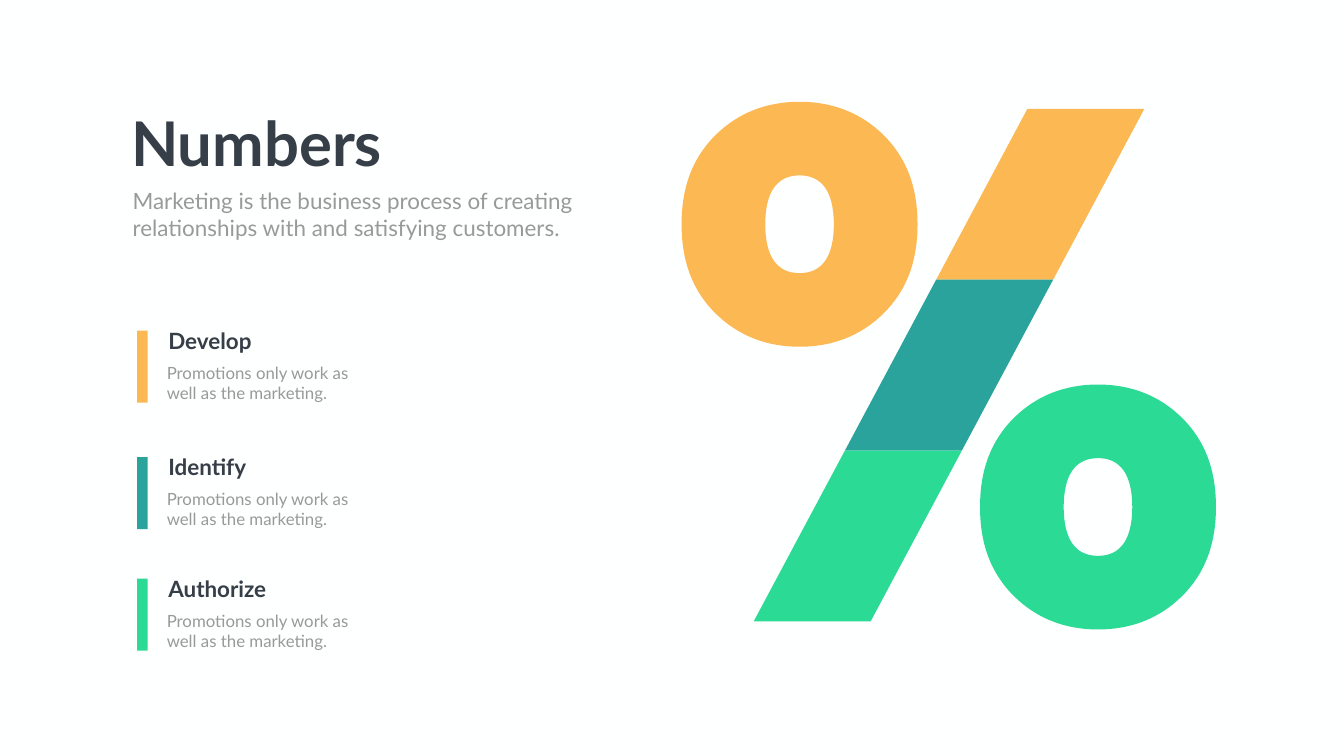
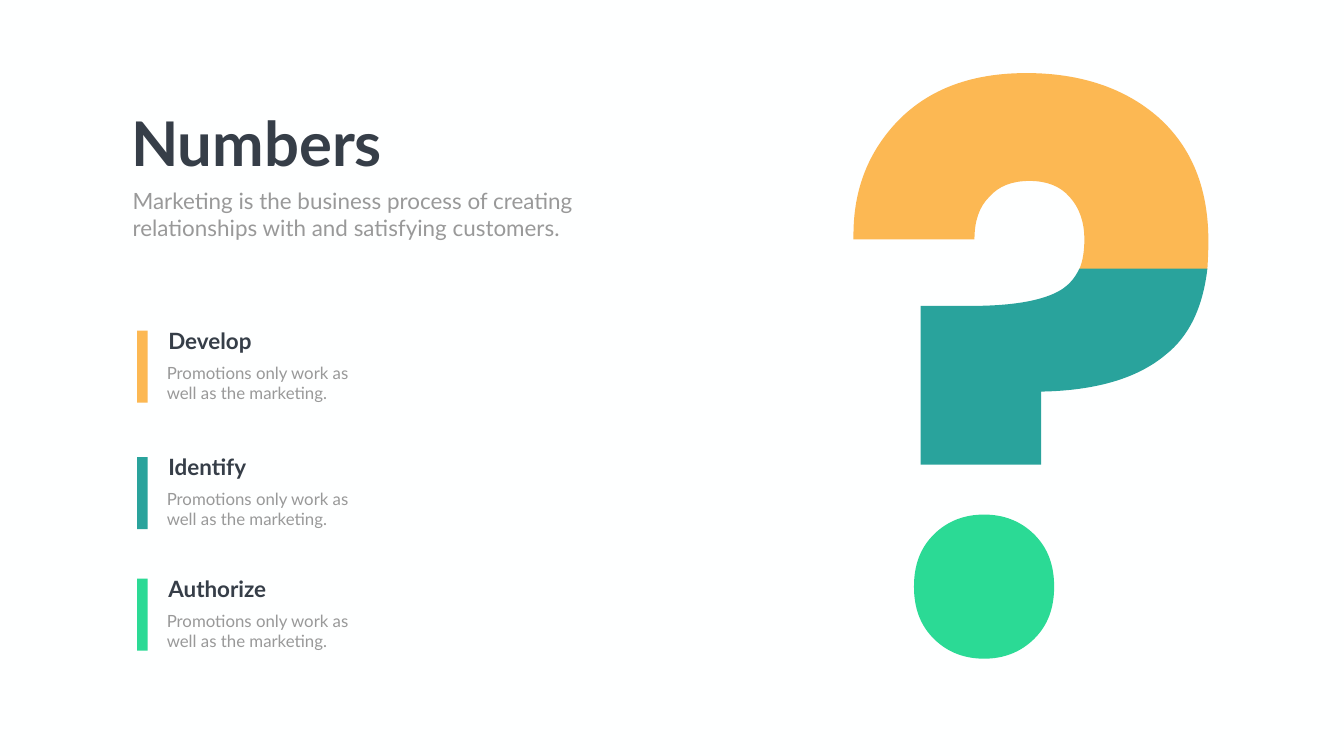
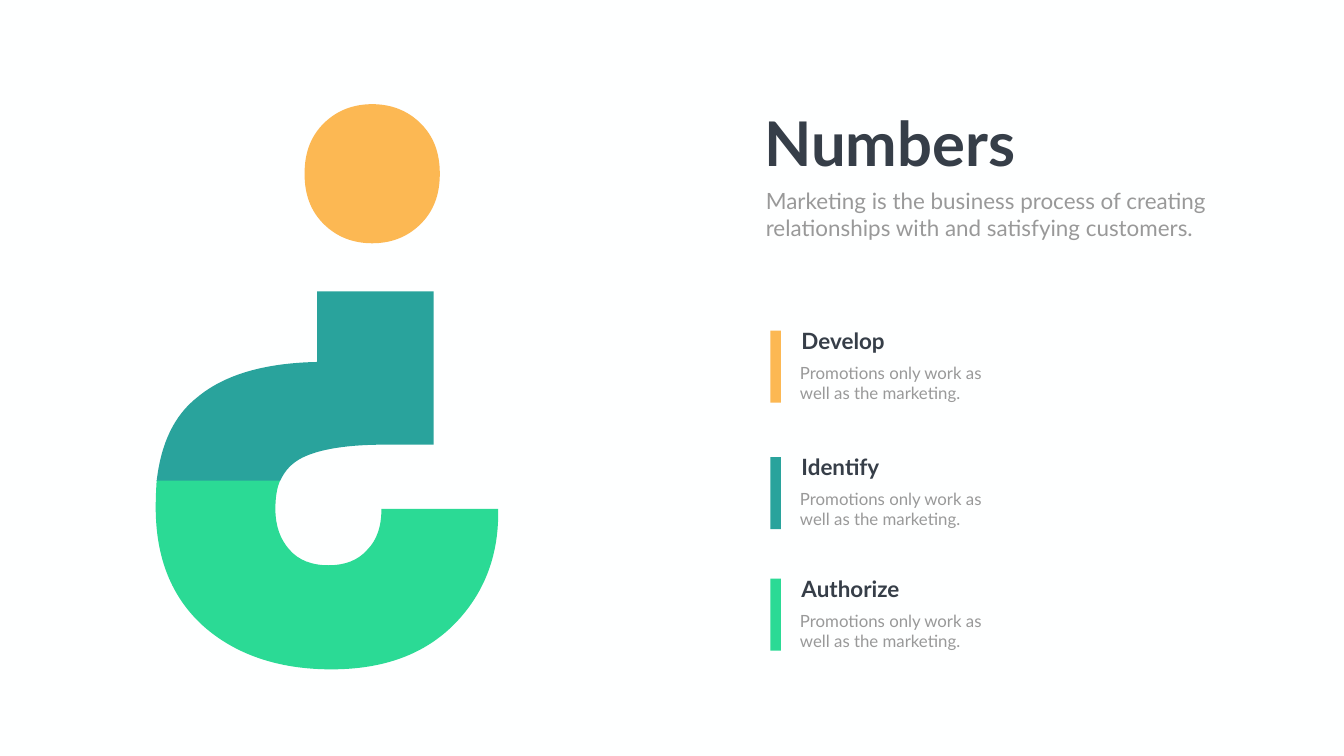
from dataclasses import dataclass

from pptx import Presentation
from pptx.dml.color import RGBColor
from pptx.enum.shapes import MSO_SHAPE
from pptx.enum.text import MSO_ANCHOR, MSO_AUTO_SIZE, PP_ALIGN
from pptx.oxml.ns import qn
from pptx.slide import Slide
from pptx.text.text import TextFrame
from pptx.util import Inches, Pt

RECT = MSO_SHAPE.RECTANGLE
TOP = MSO_ANCHOR.TOP
LEFT = PP_ALIGN.LEFT
NO_FIT = MSO_AUTO_SIZE.NONE

Point = tuple[float, float]
Ring = list[tuple[float, ...]]  # points (2 numbers) and cubic curves (6)


@dataclass(frozen=True)
class Theme:
    font: str = "Lato"
    paper: str = "FEFFFF"
    ink: str = "363E48"
    gray: str = "999999"
    amber: str = "FCB853"
    teal: str = "29A39C"
    green: str = "2BDA95"
    title: int = 88
    lead: int = 32
    note: int = 24


@dataclass(frozen=True)
class Item:
    name: str
    top: float
    color: str


@dataclass(frozen=True)
class Part:
    color: str
    rings: list[Ring]


THEME = Theme()
HUES = (THEME.amber, THEME.teal, THEME.green)
ITEMS = [
    Item("Develop", 6.56, THEME.amber),
    Item("Identify", 9.07, THEME.teal),
    Item("Authorize", 11.48, THEME.green),
]
TITLE = "Numbers"
LEAD = ["Marketing is the business process of creating",
        "relationships with and satisfying customers."]
NOTE = "Promotions only work as well as the marketing."
SHIFT = 12.56  # from the left text column to the right one

# A quarter of an oval with unit radii, from its right end to its bottom
ROUND = [(1, 0), (1, .3), (.91, .54), (.71, .73), (.52, .91), (.28, 1), (0, 1)]
TIGHT = [(1, 0), (1, .66), (.66, 1), (0, 1)]

HOOK = [
    (22.98, 2.33),
    (22.32, 1.75, 21.44, 1.45, 20.36, 1.45),
    (19.28, 1.45, 18.44, 1.76, 17.82, 2.39),
    (17.23, 3, 16.93, 3.75, 16.93, 4.66),
    (16.93, 4.75),
    (19.33, 4.75),
    (19.33, 4.39, 19.42, 4.11, 19.62, 3.91),
    (19.81, 3.69, 20.08, 3.59, 20.42, 3.59),
    (20.76, 3.59, 21.03, 3.69, 21.22, 3.91),
    (21.41, 4.12, 21.51, 4.4, 21.51, 4.75),
    (21.51, 4.98, 21.48, 5.18, 21.41, 5.34),
    (23.95, 5.34),
    (23.96, 5.17, 23.97, 4.99, 23.97, 4.78),
    (23.97, 3.75, 23.65, 2.93, 22.98, 2.33),
]
STEM = [
    (23.12, 7.04),
    (23.59, 6.67, 23.86, 6.1, 23.95, 5.33),
    (21.41, 5.33),
    (21.31, 5.55, 21.16, 5.7, 20.96, 5.8),
    (20.6, 5.98, 20.03, 6.07, 19.25, 6.07),
    (18.26, 6.07),
    (18.26, 9.22),
    (20.65, 9.22),
    (20.65, 7.77),
    (21.73, 7.75, 22.56, 7.51, 23.12, 7.04),
]


def pairs(move: tuple[float, ...]) -> list[Point]:
    return list(zip(move[::2], move[1::2]))


def oval(mid: Point, rx: float, ry: float, arc: list[Point] = ROUND) -> Ring:
    """Mirror a quarter arc twice and join its points into curves."""
    half = arc + [(-x, y) for x, y in arc[-2::-1]]
    full = half + [(x, -y) for x, y in half[-2::-1]]
    dots = [(mid[0] + rx * x, mid[1] + ry * y) for x, y in full]
    curves = [sum(dots[at:at + 3], ()) for at in range(1, len(dots), 3)]
    return [dots[0], *curves]


def donut(mid: Point) -> list[Ring]:
    return [oval(mid, 2.34, 2.43), oval(mid, .68, .97, TIGHT)]


def slash() -> list[Part]:
    top, left, wide, high, lean = 2.16, 20.38, 2.32, 3.39, 1.81
    parts = []
    for row, hue in enumerate(HUES):
        x, y = left - row * lean, top + row * high
        ring = [(x, y), (x + wide, y),
                (x + wide - lean, y + high), (x - lean, y + high)]
        parts.append(Part(hue, [ring]))
    return parts


def percent() -> list[Part]:
    return slash() + [Part(THEME.amber, donut((15.86, 4.45))),
                      Part(THEME.green, donut((21.78, 10.06)))]


def query() -> list[Part]:
    return [Part(THEME.green, [oval((19.52, 11.64), 1.39, 1.43)]),
            Part(THEME.amber, [HOOK]),
            Part(THEME.teal, [STEM])]


def turn(move: tuple[float, ...]) -> tuple[float, ...]:
    return sum(((26.22 - .965 * x, 14.68 - .965 * y)
                for x, y in pairs(move)), ())


def turned(parts: list[Part]) -> list[Part]:
    """Turn the question mark upside down, a little smaller, hues swapped."""
    swap = dict(zip(HUES, reversed(HUES)))
    return [Part(swap[part.color],
                 [[turn(move) for move in ring] for ring in part.rings])
            for part in parts]


def paint(shape, color: str) -> None:
    shape.shadow.inherit = False
    shape.fill.solid()
    shape.fill.fore_color.rgb = RGBColor.from_string(color)
    shape.line.fill.background()


def bend(shape, rings: list[Ring]) -> None:
    """Join each three line segments that stand for a curve into one."""
    track = next(shape._element.iter(qn("a:path")))
    nodes = iter(list(track))
    for ring in rings:
        next(nodes)  # the move to the start
        for move in ring[1:]:
            group = [next(nodes) for _ in pairs(move)]
            if len(group) == 3:
                curve = track.makeelement(qn("a:cubicBezTo"), {})
                group[0].addprevious(curve)
                for node in group:
                    curve.append(node[0])
                    track.remove(node)
        next(nodes)  # the close


def draw(slide: Slide, part: Part) -> None:
    pen = None
    for ring in part.rings:
        dots = [(Inches(x), Inches(y)) for move in ring for x, y in pairs(move)]
        if pen is None:
            pen = slide.shapes.build_freeform(*dots[0])
        else:
            pen.move_to(*dots[0])
        pen.add_line_segments(dots[1:], close=True)
    shape = pen.convert_to_shape()
    bend(shape, part.rings)
    paint(shape, part.color)


def place(shape, left: float, top: float, width: float, height: float) -> None:
    shape.left, shape.top = Inches(left), Inches(top)
    shape.width, shape.height = Inches(width), Inches(height)


def write(frame: TextFrame, lines: list[str], *, size: int,
          color: str = THEME.gray, bold: bool = False) -> None:
    frame.word_wrap = True
    frame.auto_size = NO_FIT
    frame.vertical_anchor = TOP
    for row, line in enumerate(lines):
        para = frame.add_paragraph() if row else frame.paragraphs[0]
        props = para._p.get_or_add_pPr()
        props.set("marL", "0")
        props.set("indent", "0")
        props.append(props.makeelement(qn("a:buNone"), {}))
        para.alignment = LEFT
        para.line_spacing = 1.0
        para.space_before = Pt(0)
        run = para.add_run()
        run.text = line
        run.font.name = THEME.font
        run.font.size = Pt(size)
        run.font.bold = bold
        run.font.color.rgb = RGBColor.from_string(color)


def label(slide: Slide, box: tuple, words: str, **style) -> None:
    shape = slide.shapes.add_textbox(*map(Inches, box))
    write(shape.text_frame, [words], **style)


def column(slide: Slide, dx: float) -> None:
    """Add title, lead and the three items, moved right by dx."""
    title, body = slide.shapes.title, slide.placeholders[1]
    place(title, 2.5 + dx, 2.03, 5.28, 1.58)
    write(title.text_frame, [TITLE], size=THEME.title, color=THEME.ink, bold=True)
    place(body, 2.53 + dx, 3.66, 9.08, 1.18)
    write(body.text_frame, LEAD, size=THEME.lead)
    for item in ITEMS:
        bar = slide.shapes.add_shape(
            RECT, *map(Inches, (2.72 + dx, item.top, .21, 1.43)))
        paint(bar, item.color)
        label(slide, (3.24 + dx, item.top - .12, 2.61, .64), item.name,
              size=THEME.lead, color=THEME.ink, bold=True)
        label(slide, (3.21 + dx, item.top + .58, 4.01, .91), NOTE,
              size=THEME.note)


def main() -> None:
    deck = Presentation()
    deck.slide_width, deck.slide_height = Inches(26.66), Inches(15)
    back = deck.slide_master.background.fill
    back.solid()
    back.fore_color.rgb = RGBColor.from_string(THEME.paper)
    pages = [(percent(), 0), (query(), 0), (turned(query()), SHIFT)]
    for parts, dx in pages:
        slide = deck.slides.add_slide(deck.slide_layouts[1])
        for part in parts:
            draw(slide, part)
        column(slide, dx)
    deck.save("out.pptx")


if __name__ == "__main__":
    main()
